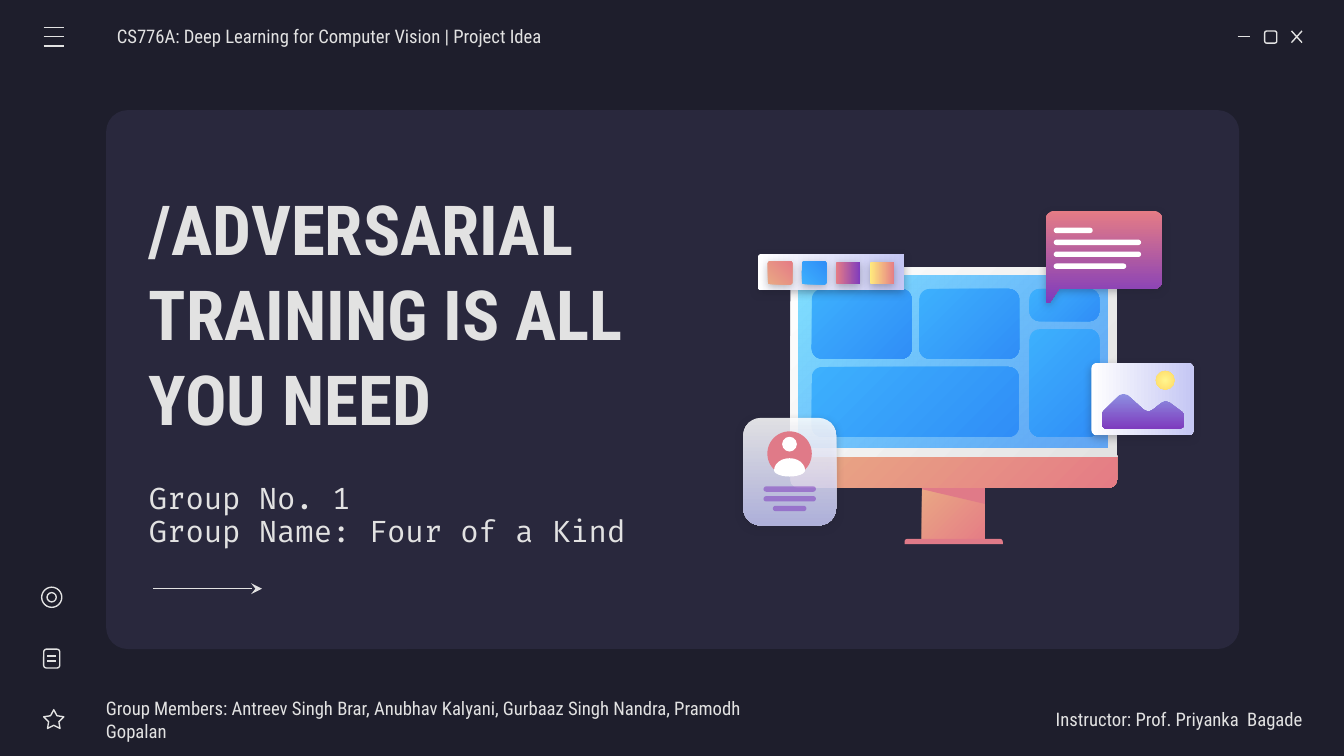
"""Build the title slide of a computer vision project deck."""
import math

import pptx
import pptx.dml.color
import pptx.enum.shapes
import pptx.enum.text
import pptx.oxml
import pptx.oxml.ns
import pptx.util

Pt = pptx.util.Pt
RGBColor = pptx.dml.color.RGBColor
Kind = pptx.enum.shapes.MSO_SHAPE
Align = pptx.enum.text.PP_ALIGN
qn = pptx.oxml.ns.qn
NAMESPACE = pptx.oxml.ns.nsdecls("a")

NIGHT = RGBColor(0x1E, 0x1E, 0x2C)
PANEL = RGBColor(0x29, 0x28, 0x3D)
LIGHT = RGBColor(0xE2, 0xE2, 0xE2)
WHITE = RGBColor(0xFF, 0xFF, 0xFF)
ROSE = RGBColor(0xE0, 0x7A, 0x88)
PEACH = RGBColor(0xE9, 0xA9, 0x84)
CORAL = RGBColor(0xE5, 0x7C, 0x85)
PURPLE = RGBColor(0x7E, 0x3B, 0xBE)
PERIWINKLE = RGBColor(0x8D, 0x90, 0xE1)
LAVENDER = RGBColor(0xC5, 0xC7, 0xF4)
AQUA = RGBColor(0x80, 0xDF, 0xFF)
AZURE = RGBColor(0x31, 0x8F, 0xFA)
SKY = RGBColor(0x3D, 0xB0, 0xFD)
BLUE = RGBColor(0x30, 0x8E, 0xF7)
LEMON = RGBColor(0xFF, 0xF6, 0x8E)
GOLD = RGBColor(0xFF, 0xD9, 0x66)
YELLOW = RGBColor(0xFF, 0xEA, 0x7D)

deck = pptx.Presentation()
deck.slide_width, deck.slide_height = Pt(720), Pt(405)
page = deck.slides.add_slide(deck.slide_layouts[6])
page.background.fill.solid()
page.background.fill.fore_color.rgb = NIGHT


def arc(center_x, center_y, radius_x, radius_y, start, end):
    """Return points along an elliptical arc, angles in degrees clockwise."""
    angles = [math.radians(start + (end - start) * step / 12) for step in range(13)]
    return [(center_x + radius_x * math.cos(a), center_y + radius_y * math.sin(a)) for a in angles]


def draw(kind, place, colours=(), angle=45, adjust=(), turn=0, alphas=(), shadow=False):
    """Add a preset shape in a box, or an outline through points if kind is None."""
    if kind is None:
        points = [(Pt(x), Pt(y)) for x, y in place]
        builder = page.shapes.build_freeform(*points[0])
        builder.add_line_segments(points[1:])
        shape = builder.convert_to_shape()
    else:
        shape = page.shapes.add_shape(kind, *map(Pt, place))
    for index, value in enumerate(adjust):
        shape.adjustments[index] = value
    shape.rotation = turn
    shape.shadow.inherit = False
    if len(colours) == 2:
        shape.fill.gradient()
        shape.fill.gradient_angle = (360 - angle) % 360
        for stop, colour in zip(shape.fill.gradient_stops, colours):
            stop.color.rgb = colour
    elif colours:
        shape.fill.solid()
        shape.fill.fore_color.rgb = colours[0]
    else:
        shape.fill.background()
    properties = shape._element.spPr
    for colour, alpha in zip(list(properties.iter(qn("a:srgbClr"))), alphas):
        colour.append(pptx.oxml.parse_xml(f'<a:alpha {NAMESPACE} val="{alpha * 1000}"/>'))
    if colours:
        shape.line.fill.background()
    else:
        shape.line.color.rgb = LIGHT
        shape.line.width = Pt(0.75)
    if shadow:
        properties.find(qn("a:effectLst")).append(pptx.oxml.parse_xml(
            f'<a:outerShdw {NAMESPACE} blurRad="{Pt(4.5)}" dist="{Pt(1.5)}" dir="5400000" '
            f'algn="bl" rotWithShape="0"><a:srgbClr val="{NIGHT}"><a:alpha val="30000"/>'
            '</a:srgbClr></a:outerShdw>'))
    return shape


draw(Kind.ROUNDED_RECTANGLE, (56.9, 59, 607, 288.7), [PANEL], adjust=[0.04])

# text: content, box, size, font, bold, alignment, spacing, left and right inset
texts = [
    (["Group No. 1", "Group Name: Four of a Kind"], (72.7, 243.4, 293.8, 66.2),
     16, "Fira Code", False, Align.LEFT, 0.91, 7.2, 7.2),
    (["CS776A: Deep Learning for Computer Vision | Project Idea"], (62.6, 8.6, 236.2, 21.6),
     10, "Roboto Condensed", False, Align.LEFT, 1, 0, 7.2),
    (["/ADVERSARIAL TRAINING IS ALL YOU NEED"], (72.7, 103.7, 321.8, 126.7),
     37, "Roboto Condensed", True, Align.LEFT, 1.03, 7.2, 7.2),
    (["Instructor: Prof. Priyanka  Bagade"], (536.4, 374.4, 161.3, 21.6),
     10, "Roboto Condensed", False, Align.RIGHT, 1, 7.2, 0),
    (["Group Members: Antreev Singh Brar, Anubhav Kalyani, Gurbaaz Singh Nandra, Pramodh Gopalan"],
     (49.7, 374.4, 367.9, 21.6), 10, "Roboto Condensed", False, Align.LEFT, 1.03, 7.2, 0),
]
for content, place, size, font, bold, alignment, spacing, left, right in texts:
    frame = page.shapes.add_textbox(*map(Pt, place)).text_frame
    frame.text = "\n".join(content)
    frame.word_wrap = True
    frame.vertical_anchor = pptx.enum.text.MSO_ANCHOR.MIDDLE
    frame.margin_left, frame.margin_right = Pt(left), Pt(right)
    frame.margin_top = frame.margin_bottom = Pt(7.2)
    for para in frame.paragraphs:
        para.alignment = alignment
        para.line_spacing = spacing
        for span in para.runs:
            span.font.name, span.font.size, span.font.bold = font, Pt(size), bold
            span.font.color.rgb = LIGHT

draw(Kind.RECTANGLE, (493.9, 259.9, 33.8, 31), [PEACH, CORAL])
draw(Kind.ROUND_2_SAME_RECTANGLE, (484.6, 288.7, 52.6, 2.9), [ROSE], adjust=[0.5, 0])
draw(None, [(493.9, 259.9), (493.9, 262.1), (527.7, 270), (527.7, 259.9)], [ROSE])
draw(Kind.ROUND_2_SAME_RECTANGLE, (423.4, 244.1, 175, 17.3), [PEACH, CORAL], adjust=[0, 0.25])
draw(Kind.ROUND_2_SAME_RECTANGLE, (423.4, 143.3, 175, 101.5), [WHITE, LIGHT], adjust=[0.04, 0])
draw(Kind.RECTANGLE, (427.7, 147.6, 165.6, 92.2), [AQUA, AZURE], alphas=[100, 72])
for tile in [(434.9, 154.8, 53.5, 37.4), (434.9, 196.6, 110.9, 37.4), (492.5, 154.8, 53.5, 37.4),
             (551.5, 154.8, 37.4, 17.3), (551.5, 176.4, 37.4, 57.6)]:
    draw(Kind.ROUNDED_RECTANGLE, tile, [SKY, BLUE], adjust=[5.5 / min(tile[2:])])

bubble = (arc(565, 117.8, 4.8, 4.8, 180, 270) + arc(618, 117.8, 4.8, 4.8, 270, 360)
          + arc(618, 150, 4.8, 4.8, 0, 90) + [(567.4, 154.8)]
          + arc(561.6, 160.8, 1.4, 1.4, 45, 180))
draw(None, bubble, [CORAL, PURPLE], angle=90, shadow=True)
for row, width in enumerate([20.9, 46.8, 46.8, 38.9]):
    draw(Kind.ROUNDED_RECTANGLE, (564.5, 122 + 6.4 * row, width, 2.9), [WHITE], adjust=[0.5])

draw(Kind.ROUNDED_RECTANGLE, (398.2, 223.9, 49.7, 57.6), [WHITE, LAVENDER], angle=90,
     adjust=[0.187], alphas=[86, 86], shadow=True)
draw(Kind.OVAL, (411.1, 231.1, 23.8, 23.8), [ROSE])
draw(Kind.OVAL, (419, 234, 7.9, 7.9), [WHITE])
draw(None, arc(423, 252, 8.3, 6.5, 180, 360) + arc(423, 252, 8.3, 3.3, 0, 180), [WHITE])
for left, top, width in [(409, 260.6, 28.1), (409, 265.8, 28.1), (414, 271, 18)]:
    draw(Kind.ROUNDED_RECTANGLE, (left, top, width, 2.9), [PURPLE], adjust=[0.5], alphas=[54])

draw(Kind.ROUNDED_RECTANGLE, (592.6, 186.5, 38.9, 54.7), [WHITE, LAVENDER], angle=90,
     adjust=[0.073], turn=270, shadow=True)
mountains = [(601.9, 211), (599.8, 211.7), (591.1, 220.3), (590.4, 221.8), (590.4, 227.5),
             (591, 229), (592.6, 229.7), (632, 229.7), (633.7, 229), (634.3, 227.5),
             (634.3, 222.5), (633.6, 221), (626.4, 215.6), (624.2, 215), (622.4, 215.8),
             (617, 220), (615, 220.6), (612.7, 219.6), (604.1, 211.7)]
draw(None, mountains, [PERIWINKLE, PURPLE], angle=90)
sun = draw(Kind.OVAL, (619.2, 198.7, 10.1, 10.1), [LEMON, GOLD])
linear = sun._element.spPr.find(qn("a:gradFill")).find(qn("a:lin"))
linear.getparent().replace(linear, pptx.oxml.parse_xml(
    f'<a:path {NAMESPACE} path="circle">'
    '<a:fillToRect l="50000" t="50000" r="50000" b="50000"/></a:path>'))

draw(Kind.ROUNDED_RECTANGLE, (435.6, 106.6, 19.4, 78.5), [WHITE, LAVENDER], angle=90,
     adjust=[0.073], turn=270, shadow=True)
swatches = [(PEACH, CORAL, 45), (SKY, BLUE, 45), (CORAL, PURPLE, 90), (YELLOW, CORAL, 90)]
for column, (first, last, angle) in enumerate(swatches):
    draw(Kind.ROUNDED_RECTANGLE, (411.8 + 18.25 * column, 139.7, 12.2, 13), [first, last],
         angle=angle, adjust=[0.073], turn=270, shadow=True)

draw(Kind.ROUNDED_RECTANGLE, (677.5, 16.6, 6.5, 6.5), adjust=[0.167])
draw(Kind.STAR_5_POINT, (23.4, 380.2, 10.8, 10.1), adjust=[0.254])
draw(Kind.ROUNDED_RECTANGLE, (23.4, 347.8, 8.6, 10.1), adjust=[0.167])
draw(Kind.OVAL, (22.3, 314.6, 10.8, 10.8))
draw(Kind.OVAL, (25.2, 317.5, 5, 5))

minimise = (663.1, 19.4, 669.6, 19.4)
close = [(691.9, 16.6, 697.5, 22.8), (697.5, 16.6, 691.9, 22.8)]
menu = [(23.4, y, 34.2, y) for y in (14.8, 19.7, 24.6)]
note = [(25.2, y, 30.2, y) for y in (351.4, 354.2)]
arrow = (82.1, 315.4, 140.4, 315.4)
for ends in [minimise, *close, *menu, *note, arrow]:
    stroke = page.shapes.add_connector(pptx.enum.shapes.MSO_CONNECTOR.STRAIGHT, *map(Pt, ends))
    stroke.line.color.rgb = LIGHT
    stroke.line.width = Pt(0.75)
    stroke._element.spPr.append(pptx.oxml.parse_xml(f"<a:effectLst {NAMESPACE}/>"))
    if ends == arrow:
        stroke.line._get_or_add_ln().append(
            pptx.oxml.parse_xml(f'<a:tailEnd {NAMESPACE} type="stealth"/>'))

deck.save("out.pptx")
